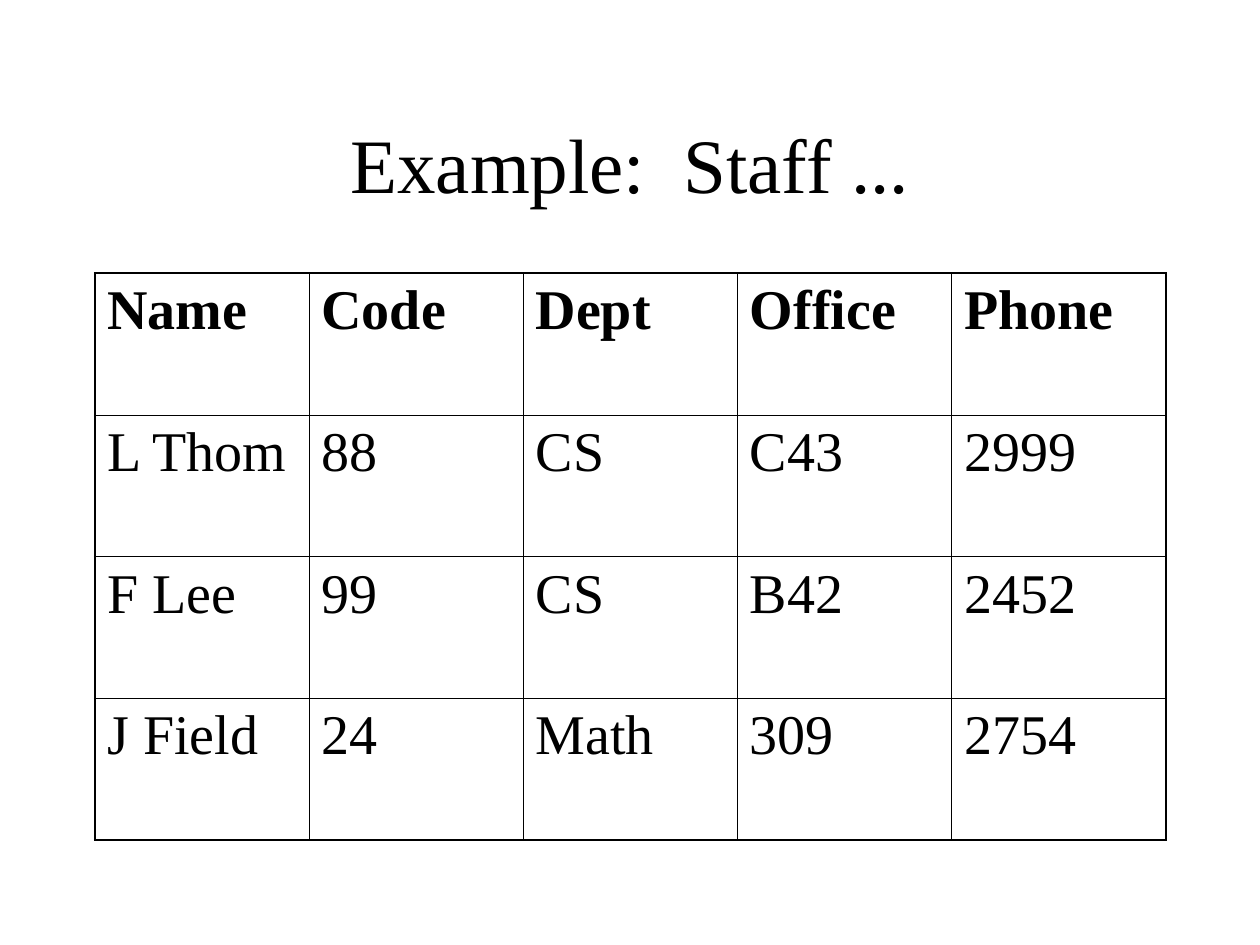
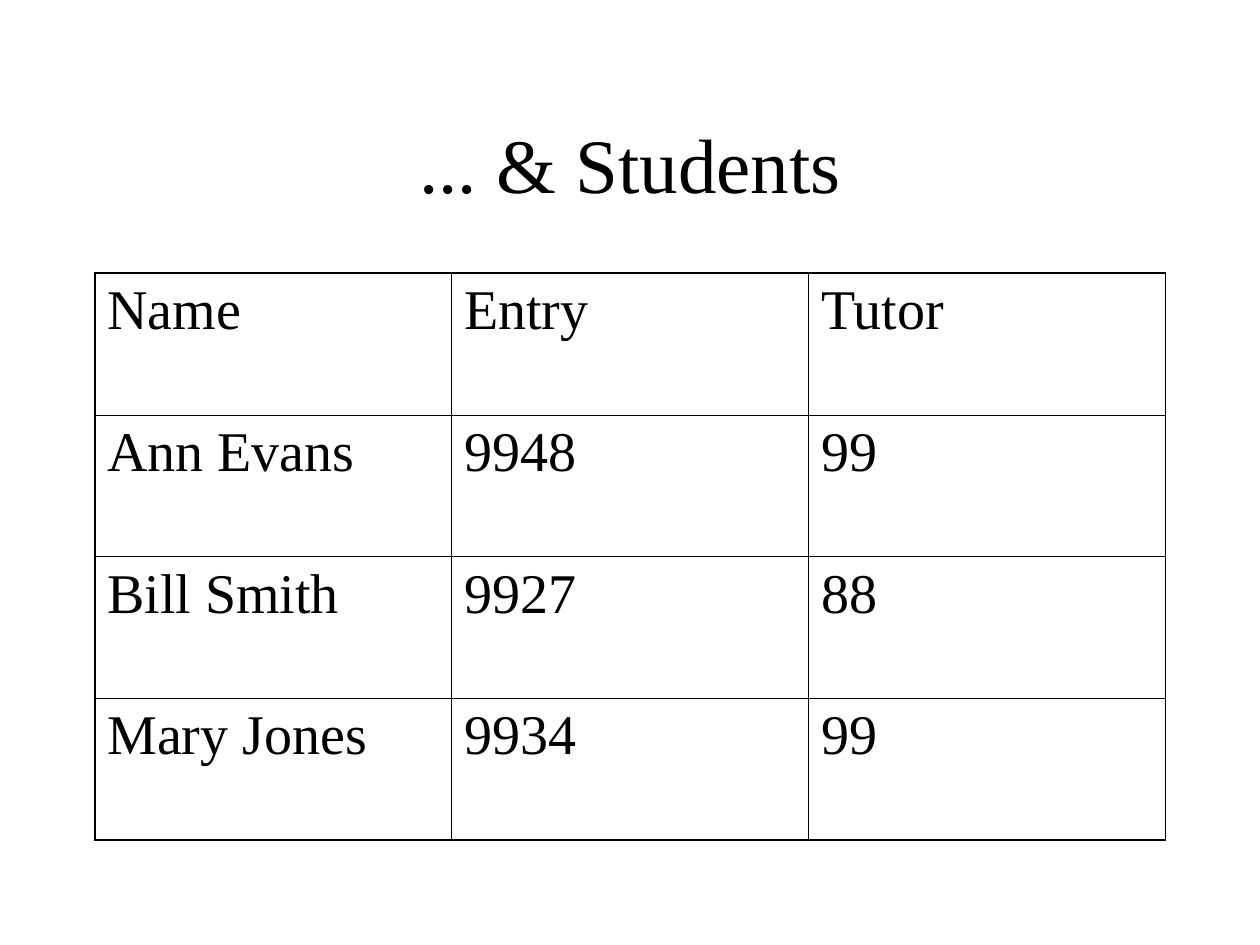
from dataclasses import dataclass

import pptx
import pptx.dml.color
import pptx.enum.text
import pptx.oxml
import pptx.oxml.ns
import pptx.util
from pptx.util import Cm


@dataclass(frozen=True)
class Theme:
    font: str = "Times New Roman"
    ink: str = "000000"
    title_size: float = 44
    cell_size: float = 32
    frame_width: float = 1.08
    grid_width: float = 0.45


THEME = Theme()
MARGIN_LEFT = Cm(1.91)
CONTENT_WIDTH = Cm(21.59)
TITLE_TOP, TITLE_HEIGHT = Cm(1.69), Cm(3.18)
TABLE_TOP, TABLE_HEIGHT = Cm(5.51), Cm(11.43)

STAFF = [
    ("Name", "Code", "Dept", "Office", "Phone"),
    ("L Thom", "88", "CS", "C43", "2999"),
    ("F Lee", "99", "CS", "B42", "2452"),
    ("J Field", "24", "Math", "309", "2754"),
]
STUDENTS = [
    ("Name", "Entry", "Tutor"),
    ("Ann Evans", "9948", "99"),
    ("Bill Smith", "9927", "88"),
    ("Mary Jones", "9934", "99"),
]


def style_text(paragraph, size, bold=False):
    for run in paragraph.runs:
        run.font.name = THEME.font
        run.font.size = pptx.util.Pt(size)
        run.font.bold = bold
        run.font.color.rgb = pptx.dml.color.RGBColor.from_string(THEME.ink)


def add_title(slide, wording):
    title = slide.shapes.add_textbox(MARGIN_LEFT, TITLE_TOP, CONTENT_WIDTH, TITLE_HEIGHT)
    frame = title.text_frame
    frame.word_wrap = True
    frame.vertical_anchor = pptx.enum.text.MSO_ANCHOR.MIDDLE
    frame.text = wording
    frame.paragraphs[0].alignment = pptx.enum.text.PP_ALIGN.CENTER
    style_text(frame.paragraphs[0], THEME.title_size)


def set_borders(cell, on_frame):
    """Rule all four sides; on_frame tells which lie on the table's outer edge."""
    properties = cell._tc.get_or_add_tcPr()
    for side in ("L", "R", "T", "B"):
        points = THEME.frame_width if on_frame[side] else THEME.grid_width
        properties.append(pptx.oxml.parse_xml(
            f'<a:ln{side} {pptx.oxml.ns.nsdecls("a")} w="{pptx.util.Pt(points)}">'
            f'<a:solidFill><a:srgbClr val="{THEME.ink}"/></a:solidFill></a:ln{side}>'
        ))


def add_records(slide, records, bold_header):
    row_count, column_count = len(records), len(records[0])
    table = slide.shapes.add_table(
        row_count, column_count, MARGIN_LEFT, TABLE_TOP, CONTENT_WIDTH, TABLE_HEIGHT
    ).table
    table.first_row = table.horz_banding = False
    for r, record in enumerate(records):
        for c, value in enumerate(record):
            cell = table.cell(r, c)
            cell.text = value
            style_text(cell.text_frame.paragraphs[0], THEME.cell_size,
                       bold_header and r == 0)
            set_borders(cell, {"L": c == 0, "R": c == column_count - 1,
                               "T": r == 0, "B": r == row_count - 1})
            cell.fill.background()


def main():
    deck = pptx.Presentation()
    deck.slide_width, deck.slide_height = Cm(25.4), Cm(19.05)
    blank = deck.slide_layouts[6]
    for title, records, bold_header in (
        ("Example:  Staff ...", STAFF, True),
        ("... & Students", STUDENTS, False),
    ):
        slide = deck.slides.add_slide(blank)
        add_title(slide, title)
        add_records(slide, records, bold_header)
    deck.save("out.pptx")


if __name__ == "__main__":
    main()
